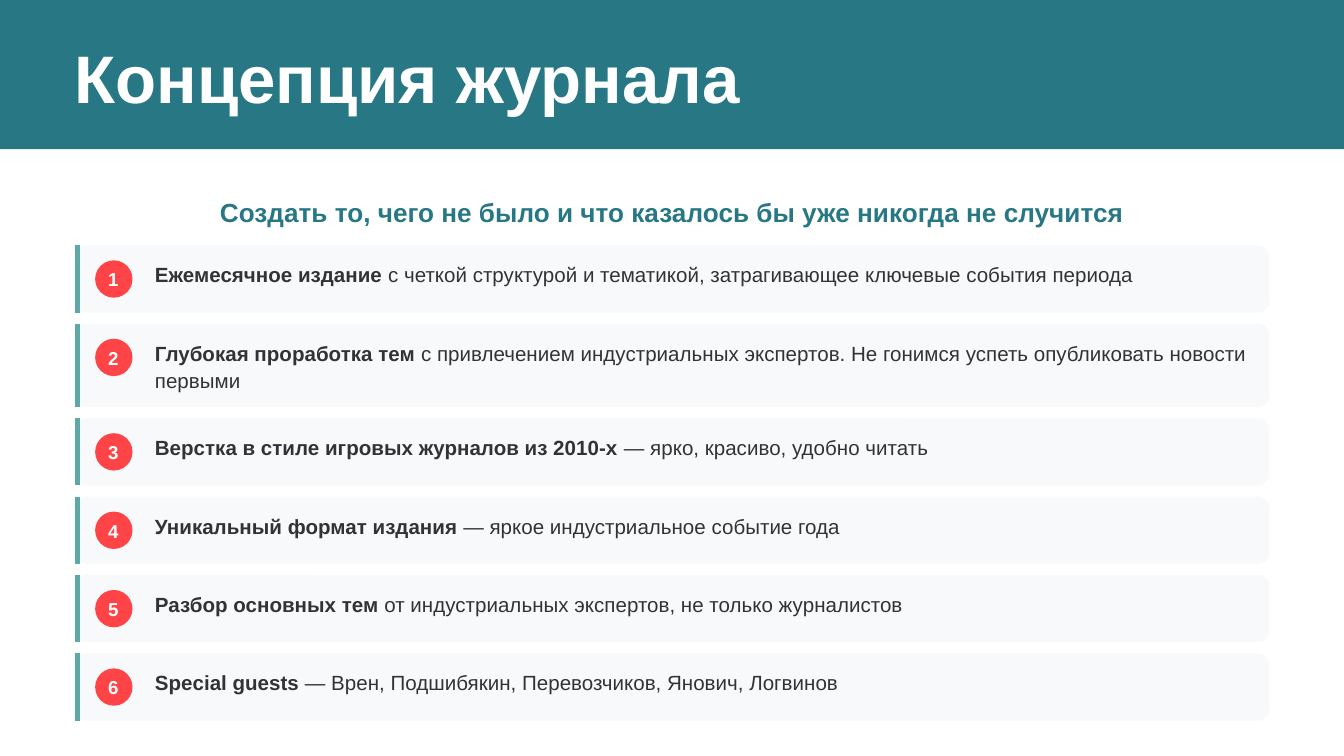
from dataclasses import dataclass

from lxml import etree
from pptx import Presentation
from pptx.dml.color import RGBColor
from pptx.enum.shapes import MSO_CONNECTOR, MSO_SHAPE
from pptx.enum.text import PP_ALIGN
from pptx.oxml.ns import qn
from pptx.shapes.autoshape import Shape
from pptx.slide import Slide
from pptx.text.text import _Paragraph
from pptx.util import Pt

RECTANGLE = MSO_SHAPE.RECTANGLE
ROUNDED = MSO_SHAPE.ROUNDED_RECTANGLE
STRAIGHT = MSO_CONNECTOR.STRAIGHT
CENTER = PP_ALIGN.CENTER

FONT = "Arial"
COLORS = {
    "teal": "277884",
    "accent": "5EA8A7",
    "badge": "FE4447",
    "card": "F8F9FA",
    "body": "333333",
    "white": "FFFFFF",
}

SLIDE_WIDTH, SLIDE_HEIGHT = 720, 405
CARD_LEFT, CARD_WIDTH = 40, 640
FIRST_CARD_TOP, CARD_GAP = 131.5, 6
CARD_PADDING, CORNER_RADIUS = 8, 6
LINE_HEIGHT = 14.3
BADGE_LEFT, BADGE_SIZE = 51, 20
DIGIT_WIDTH, DIGIT_HEIGHT = 6, 11.5
STRIPE_WIDTH = 3
STATEMENT_LEFT = 83


@dataclass(frozen=True)
class Principle:
    lead: str
    detail: str
    text_width: float
    lines: int = 1

    @property
    def text_height(self) -> float:
        return self.lines * LINE_HEIGHT

    @property
    def card_height(self) -> float:
        return max(BADGE_SIZE, self.text_height) + 2 * CARD_PADDING


PRINCIPLES = [
    Principle("Ежемесячное издание",
              " с четкой структурой и тематикой, затрагивающее ключевые события периода", 533),
    Principle("Глубокая проработка тем",
              " с привлечением индустриальных экспертов. "
              "Не гонимся успеть опубликовать новости первыми", 600, 2),
    Principle("Верстка в стиле игровых журналов из 2010-х",
              " — ярко, красиво, удобно читать", 421),
    Principle("Уникальный формат издания",
              " — яркое индустриальное событие года", 373),
    Principle("Разбор основных тем",
              " от индустриальных экспертов, не только журналистов", 408),
    Principle("Special guests",
              " — Врен, Подшибякин, Перевозчиков, Янович, Логвинов", 372),
]


def rgb(color: str) -> RGBColor:
    return RGBColor.from_string(COLORS[color])


def add_block(slide: Slide, preset: MSO_SHAPE, left: float, top: float,
              width: float, height: float, color: str) -> Shape:
    block = slide.shapes.add_shape(preset, Pt(left), Pt(top), Pt(width), Pt(height))
    block.shadow.inherit = False
    block.fill.solid()
    block.fill.fore_color.rgb = rgb(color)
    block.line.fill.background()
    return block


def add_text(slide: Slide, left: float, top: float, width: float, height: float,
             size: float, color: str, text: str = "") -> _Paragraph:
    frame = slide.shapes.add_textbox(Pt(left), Pt(top), Pt(width), Pt(height)).text_frame
    frame.margin_left = frame.margin_right = frame.margin_top = frame.margin_bottom = 0
    frame.word_wrap = True
    paragraph = frame.paragraphs[0]
    paragraph.font.name = FONT
    paragraph.font.size = Pt(size)
    paragraph.font.color.rgb = rgb(color)
    if text:
        paragraph.font.bold = True
        paragraph.add_run().text = text
    return paragraph


def add_stripe(slide: Slide, top: float, height: float) -> None:
    x = CARD_LEFT + STRIPE_WIDTH / 2
    stripe = slide.shapes.add_connector(STRAIGHT, Pt(x), Pt(top), Pt(x), Pt(top + height))
    stripe.line.color.rgb = rgb("accent")
    stripe.line.width = Pt(STRIPE_WIDTH)
    etree.SubElement(stripe._element.spPr, qn("a:effectLst"))


def space_around(paragraph: _Paragraph) -> None:
    paragraph.space_before = paragraph.space_after = Pt(10)


def add_principle(slide: Slide, number: int, principle: Principle, top: float) -> None:
    height = principle.card_height
    card = add_block(slide, ROUNDED, CARD_LEFT, top, CARD_WIDTH, height, "card")
    card.adjustments[0] = CORNER_RADIUS / height
    add_stripe(slide, top, height)

    content_top = top + CARD_PADDING
    badge = add_block(slide, ROUNDED, BADGE_LEFT, content_top, BADGE_SIZE, BADGE_SIZE, "badge")
    badge.adjustments[0] = 0.5
    digit = add_text(slide, BADGE_LEFT + (BADGE_SIZE - DIGIT_WIDTH) / 2,
                     content_top + (BADGE_SIZE - DIGIT_HEIGHT) / 2,
                     DIGIT_WIDTH, DIGIT_HEIGHT, 10, "white", str(number))
    space_around(digit)

    statement = add_text(slide, STATEMENT_LEFT, content_top, principle.text_width,
                         principle.text_height, 11, "body")
    statement.line_spacing = Pt(LINE_HEIGHT)
    lead = statement.add_run()
    lead.text = principle.lead
    lead.font.bold = True
    statement.add_run().text = principle.detail


def main() -> None:
    presentation = Presentation()
    presentation.slide_width = Pt(SLIDE_WIDTH)
    presentation.slide_height = Pt(SLIDE_HEIGHT)
    slide = presentation.slides.add_slide(presentation.slide_layouts[6])

    add_block(slide, RECTANGLE, 0, 0, SLIDE_WIDTH, 80, "teal")
    add_text(slide, CARD_LEFT, 19.5, 364, 41, 36, "white", "Концепция журнала")
    motto = add_text(slide, 33.5, 105, 653, 16.5, 14, "teal",
                     "Создать то, чего не было и что казалось бы уже никогда не случится")
    motto.alignment = CENTER
    space_around(motto)

    top = FIRST_CARD_TOP
    for number, principle in enumerate(PRINCIPLES, start=1):
        add_principle(slide, number, principle, top)
        top += principle.card_height + CARD_GAP

    presentation.save("out.pptx")


if __name__ == "__main__":
    main()
